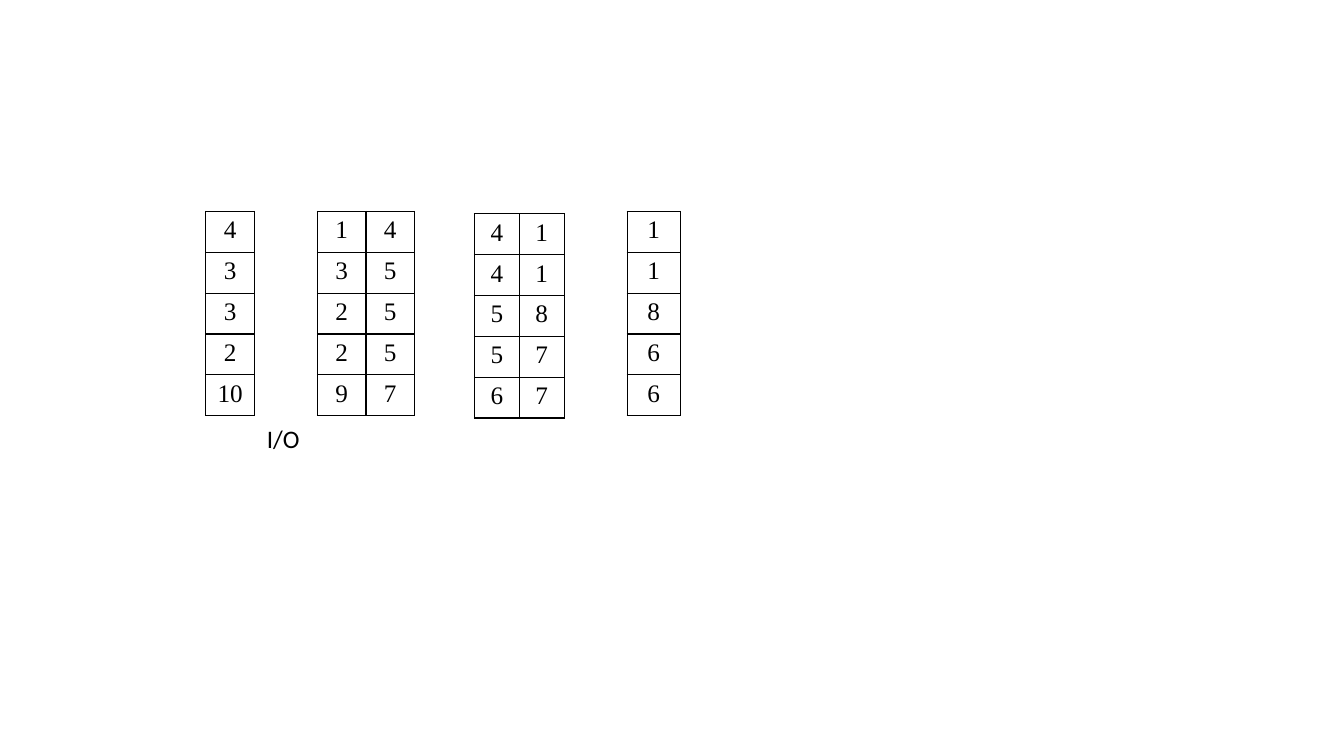
from dataclasses import dataclass

from pptx import Presentation
from pptx import util as u
from pptx.dml.color import RGBColor
from pptx.enum import text
from pptx.oxml import parse_xml
from pptx.oxml.ns import nsdecls


@dataclass(frozen=True)
class Theme:
    ink: str = "000000"
    size: float = 18
    line: float = 1
    serif: str = "Times New Roman"
    sans: str = "Calibri"


class Deck:
    def __init__(self, theme, wide, high):
        self.theme = theme
        self.show = Presentation()
        self.show.slide_width = u.Pt(wide)
        self.show.slide_height = u.Pt(high)
        self.slide = self.show.slides.add_slide(self.show.slide_layouts[6])

    def put(self, item, style):
        for name, value in style.items():
            setattr(item, name, value)

    def letter(self, frame, words, font, align):
        para = frame.paragraphs[0]
        para.alignment = align
        run = para.add_run()
        run.text = words
        self.put(run.font, {"name": font, "size": u.Pt(self.theme.size)})
        run.font.color.rgb = RGBColor.from_string(self.theme.ink)

    def border(self, cell):
        props = cell._tc.get_or_add_tcPr()
        for spot, side in enumerate("LRTB"):
            props.insert(spot, parse_xml(
                f'<a:ln{side} {nsdecls("a")} w="{u.Pt(self.theme.line)}">'
                f'<a:solidFill><a:srgbClr val="{self.theme.ink}"/></a:solidFill>'
                f'</a:ln{side}>'))

    def grid(self, left, top, wide, high, rows):
        count = len(rows[0])
        table = self.slide.shapes.add_table(
            len(rows), count, u.Pt(left), u.Pt(top),
            u.Pt(wide * count), u.Pt(high * len(rows))).table
        self.put(table, {"first_row": False, "horz_banding": False})
        for col in table.columns:
            col.width = u.Pt(wide)
        for row, values in zip(table.rows, rows):
            row.height = u.Pt(high)
            for cell, value in zip(row.cells, values):
                cell.fill.background()
                self.border(cell)
                self.letter(cell.text_frame, str(value), self.theme.serif,
                            text.PP_ALIGN.CENTER)

    def label(self, left, top, wide, high, words):
        box = self.slide.shapes.add_textbox(
            u.Pt(left), u.Pt(top), u.Pt(wide), u.Pt(high))
        self.put(box.text_frame, {
            "word_wrap": False,
            "auto_size": text.MSO_AUTO_SIZE.SHAPE_TO_FIT_TEXT})
        self.letter(box.text_frame, words, self.theme.sans, text.PP_ALIGN.LEFT)


def main():
    deck = Deck(Theme(), 960, 540)
    high = 29.2
    grids = [
        (147, 151, 34.7, [[4], [3], [3], [2], [10]]),
        (226.8, 151, 34.6, [[1, 4], [3, 5], [2, 5], [2, 5], [9, 7]]),
        (339, 152.6, 32, [[4, 1], [4, 1], [5, 8], [5, 7], [6, 7]]),
        (448, 151, 38, [[1], [1], [8], [6], [6]]),
    ]
    for left, top, wide, rows in grids:
        deck.grid(left, top, wide, high, rows)
    deck.label(183.6, 298.8, 38.2, 29, "I/O")
    deck.show.save("out.pptx")


if __name__ == "__main__":
    main()
